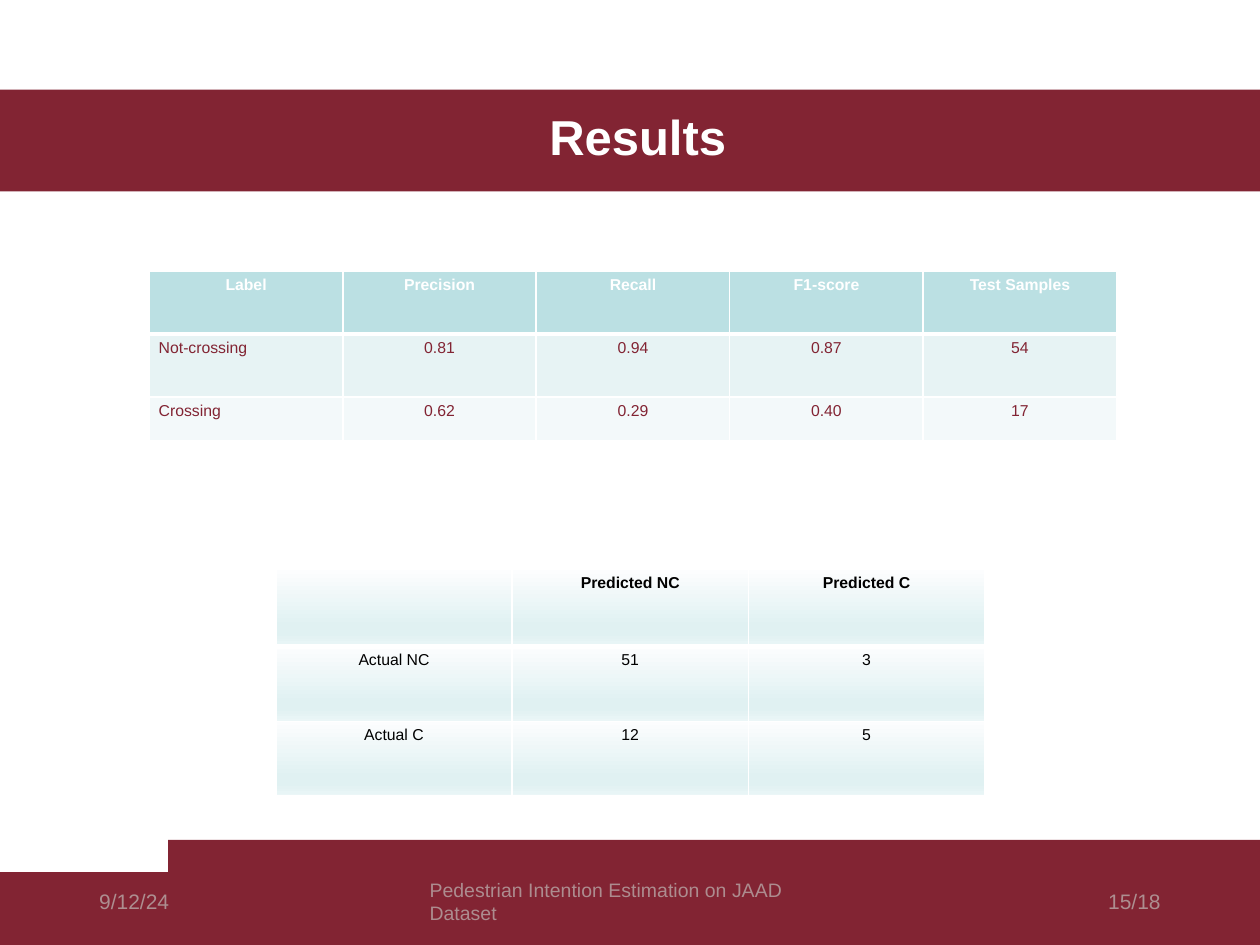
from dataclasses import dataclass

from lxml import etree
from pptx import Presentation
from pptx.dml.color import RGBColor
from pptx.enum.shapes import MSO_SHAPE
from pptx.enum.text import MSO_ANCHOR, MSO_AUTO_SIZE, PP_ALIGN
from pptx.oxml.ns import qn
from pptx.util import Cm, Pt

LEFT, CENTER, RIGHT = PP_ALIGN.LEFT, PP_ALIGN.CENTER, PP_ALIGN.RIGHT
MIDDLE = MSO_ANCHOR.MIDDLE
NO_AUTOFIT = MSO_AUTO_SIZE.NONE
RECTANGLE = MSO_SHAPE.RECTANGLE
TITLE_ONLY = 5

MAROON, WHITE, BLACK = "822433", "FFFFFF", "000000"
HEADER_TEAL, ROW_TEAL, PALE_TEAL = "BBE0E3", "E7F3F4", "F3F9FA"
TEAL_FADE = [(0, "FCFDFE"), (74, "E0F1F2"), (83, "E0F1F2"), (100, "EBF6F7")]
CELL_MARGINS = {"margin_left": Cm(0.19), "margin_right": Cm(0.19),
                "margin_top": Cm(0.1), "margin_bottom": Cm(0.1)}


@dataclass
class Box:
    left: float
    top: float
    width: float
    height: float

    def lengths(self) -> list:
        return [Cm(v) for v in (self.left, self.top, self.width, self.height)]


@dataclass
class FooterItem:
    text: str
    box: Box
    size: float
    color: str
    align: PP_ALIGN = LEFT
    space_after: float = 0


@dataclass
class RowStyle:
    height: float
    fill: str | list
    color: str
    bold: bool = False
    first_align: PP_ALIGN = CENTER


@dataclass
class ResultTable:
    box: Box
    rows: list
    styles: list


BANDS = [Box(0, 17.58, 25.4, 1.47), Box(3.39, 16.93, 22.01, 2.12),
         Box(0, 1.81, 25.4, 2.05)]
TITLE_BOX = Box(1.17, 1.78, 23.37, 2.06)
FOOTER = [
    FooterItem("9/12/24", Box(1.75, 17.66, 5.72, 1.01), 12, "AD8E90",
               space_after=6),
    FooterItem("Pedestrian Intention Estimation on JAAD Dataset",
               Box(8.41, 17.66, 8.58, 1.01), 11.1, "AD8C8F"),
    FooterItem("15/18", Box(17.93, 17.66, 5.72, 1.01), 12, "AD8E90",
               RIGHT, 6),
]
SCORES = ResultTable(
    Box(3.01, 5.46, 19.5, 3.42),
    [["Label", "Precision", "Recall", "F1-score", "Test Samples"],
     ["Not-crossing", "0.81", "0.94", "0.87", "54"],
     ["Crossing", "0.62", "0.29", "0.40", "17"]],
    [RowStyle(1.27, HEADER_TEAL, WHITE, bold=True),
     RowStyle(1.27, ROW_TEAL, MAROON, first_align=LEFT),
     RowStyle(0.88, PALE_TEAL, MAROON, first_align=LEFT)])
CONFUSION = ResultTable(
    Box(5.56, 11.48, 14.29, 4.57),
    [["", "Predicted NC", "Predicted C"],
     ["Actual NC", "51", "3"],
     ["Actual C", "12", "5"]],
    [RowStyle(1.55, TEAL_FADE, BLACK, bold=True),
     RowStyle(1.51, TEAL_FADE, BLACK),
     RowStyle(1.51, TEAL_FADE, BLACK)])


def rgb(color: str) -> RGBColor:
    return RGBColor.from_string(color)


def apply(target, formats: dict) -> None:
    for name, value in formats.items():
        setattr(target, name, value)


def write(frame, text: str, size: float, color: str, bold: bool = False,
          **paragraph_formats) -> None:
    """Put one formatted paragraph into a text frame."""
    paragraph = frame.paragraphs[0]
    apply(paragraph, paragraph_formats)
    if text:
        run = paragraph.add_run()
        run.text = text
        apply(run.font, {"name": "Arial", "size": Pt(size), "bold": bold})
        run.font.color.rgb = rgb(color)


def add_band(slide, box: Box) -> None:
    band = slide.shapes.add_shape(RECTANGLE, *box.lengths())
    band.shadow.inherit = False
    band.fill.solid()
    band.fill.fore_color.rgb = rgb(MAROON)
    band.line.fill.background()


def place_title(slide, text: str) -> None:
    title = slide.shapes.title
    apply(title, dict(zip(("left", "top", "width", "height"),
                          TITLE_BOX.lengths())))
    apply(title.text_frame, {"vertical_anchor": MIDDLE, "word_wrap": True,
                             "auto_size": NO_AUTOFIT})
    write(title.text_frame, text, 28, WHITE, True, alignment=CENTER,
          line_spacing=0.9)


def add_footer_item(slide, item: FooterItem) -> None:
    frame = slide.shapes.add_textbox(*item.box.lengths()).text_frame
    apply(frame, {"vertical_anchor": MIDDLE, "word_wrap": True,
                  "auto_size": NO_AUTOFIT})
    write(frame, item.text, item.size, item.color, alignment=item.align,
          space_after=Pt(item.space_after))


def add_color(parent, color: str) -> None:
    etree.SubElement(parent, qn("a:srgbClr"), val=color)


def set_borders(cell, heavy_side: str) -> None:
    """White 1 pt borders, with 3 pt on the heavy side."""
    properties = cell._tc.get_or_add_tcPr()
    for side in ("lnL", "lnR", "lnT", "lnB"):
        width = Pt(3 if side == heavy_side else 1)
        line = etree.SubElement(properties, qn(f"a:{side}"), w=str(width))
        add_color(etree.SubElement(line, qn("a:solidFill")), WHITE)


def set_fill(cell, fill: str | list) -> None:
    """Fill with one colour, or top to bottom with (percent, colour) stops."""
    if isinstance(fill, str):
        cell.fill.solid()
        cell.fill.fore_color.rgb = rgb(fill)
        return
    gradient = etree.SubElement(cell._tc.get_or_add_tcPr(), qn("a:gradFill"))
    stops = etree.SubElement(gradient, qn("a:gsLst"))
    for percent, color in fill:
        add_color(etree.SubElement(stops, qn("a:gs"),
                                   pos=str(percent * 1000)), color)
    etree.SubElement(gradient, qn("a:lin"), ang="5400000", scaled="0")


def add_result_table(slide, spec_table: ResultTable) -> None:
    rows = spec_table.rows
    column_count = len(rows[0])
    table = slide.shapes.add_table(len(rows), column_count,
                                   *spec_table.box.lengths()).table
    for column in table.columns:
        column.width = Cm(spec_table.box.width / column_count)
    for r, (values, style) in enumerate(zip(rows, spec_table.styles)):
        table.rows[r].height = Cm(style.height)
        for c, value in enumerate(values):
            cell = table.cell(r, c)
            apply(cell, CELL_MARGINS)
            set_borders(cell, {0: "lnB", 1: "lnT"}.get(r, ""))
            set_fill(cell, style.fill)
            write(cell.text_frame, value, 9, style.color, style.bold,
                  alignment=CENTER if c else style.first_align)


def main() -> None:
    deck = Presentation()
    deck.slide_width, deck.slide_height = Cm(25.4), Cm(19.05)
    slide = deck.slides.add_slide(deck.slide_layouts[TITLE_ONLY])
    for band in BANDS:
        add_band(slide, band)
    place_title(slide, "Results")
    title_element = slide.shapes.title._element
    title_element.getparent().append(title_element)  # in front of its band
    for item in FOOTER:
        add_footer_item(slide, item)
    for result_table in (SCORES, CONFUSION):
        add_result_table(slide, result_table)
    deck.save("out.pptx")


if __name__ == "__main__":
    main()
